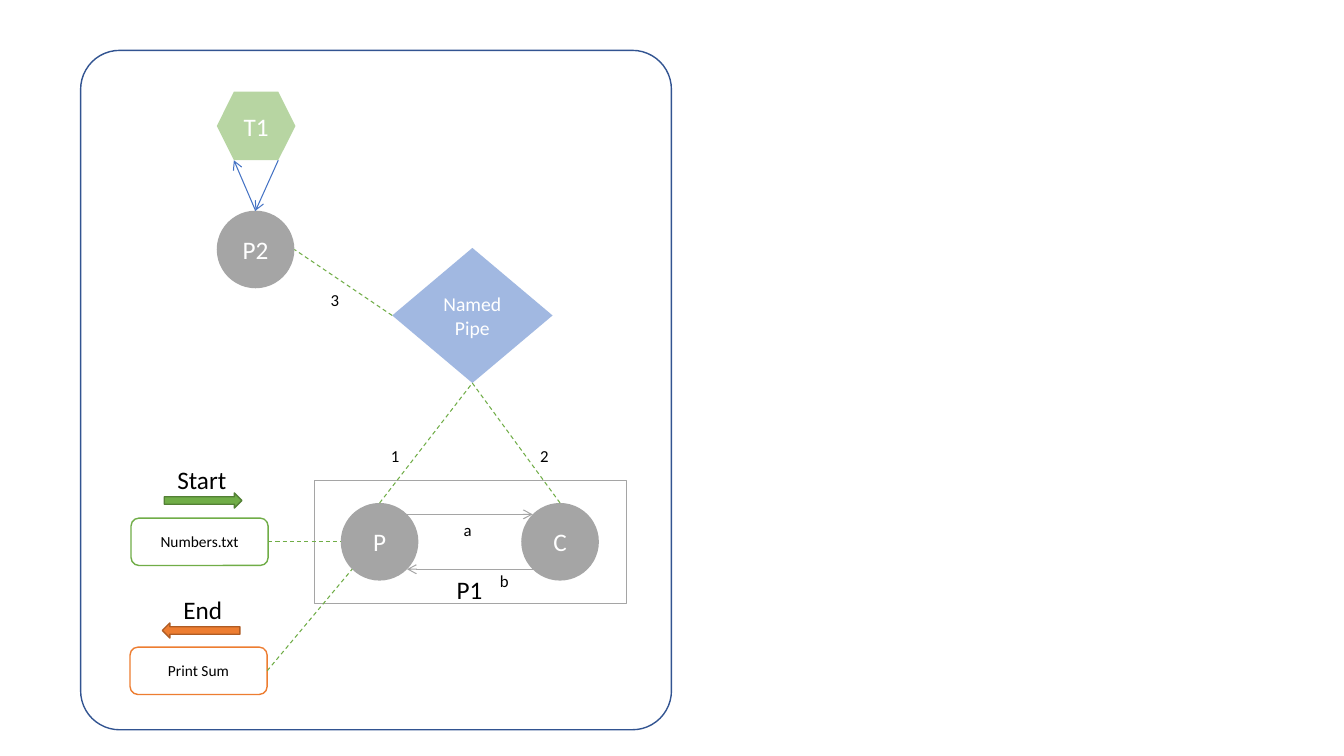
from math import cos, pi

from lxml import etree
from pptx import Presentation
from pptx import util as u
from pptx.dml.color import RGBColor
from pptx.enum import dml, shapes, text
from pptx.oxml.ns import qn

WHITE, BLACK = RGBColor(255, 255, 255), RGBColor(0, 0, 0)
NAVY, BLUE = RGBColor(0x32, 0x54, 0x91), RGBColor(0x44, 0x72, 0xC4)
GRAY = RGBColor(0xA5, 0xA5, 0xA5)
GREEN, DARK_GREEN = RGBColor(0x70, 0xAD, 0x47), RGBColor(0x53, 0x80, 0x35)
ORANGE, DARK_ORANGE = RGBColor(0xED, 0x7D, 0x31), RGBColor(0xAF, 0x5C, 0x24)
KIND = shapes.MSO_SHAPE
TOP, LEFT, BOTTOM, RIGHT = range(4)

# Node styles: kind, fill, opacity %, line, line width, text size, text colour
PROCESS = (KIND.OVAL, GRAY, 100, None, 0, 18, WHITE)
STYLES = {
    "system": (KIND.ROUNDED_RECTANGLE, None, 100, NAVY, 1, 18, BLACK),
    "process group": (KIND.RECTANGLE, None, 100, GRAY, 0.75, 18, BLACK),
    "process": PROCESS,
    "thread": (KIND.HEXAGON, GREEN, 50, None, 0, 18, WHITE),
    "pipe": (KIND.DIAMOND, BLUE, 50, None, 0, 14, WHITE),
    "input": (KIND.ROUNDED_RECTANGLE, WHITE, 100, GREEN, 1, 11, BLACK),
    "output": (KIND.ROUNDED_RECTANGLE, WHITE, 100, ORANGE, 1, 11, BLACK),
    "start": (KIND.RIGHT_ARROW, GREEN, 100, DARK_GREEN, 1, 18, BLACK),
    "end": (KIND.LEFT_ARROW, ORANGE, 100, DARK_ORANGE, 1, 18, BLACK),
}

# Nodes: name, style, text, (left, top, width, height)
D = 0.77
NODES = [
    ("System", "system", "", (0.8, 0.5, 5.86, 6.74)),
    ("P1", "process group", "", (3.12, 4.77, 3.09, 1.22)),
    ("P", "process", "P", (3.38, 4.99, D, D)),
    ("C", "process", "C", (5.17, 4.99, D, D)),
    ("P2", "process", "P2", (2.15, 2.09, D, D)),
    ("T1", "thread", "T1", (2.15, 0.91, 0.78, 0.68)),
    ("Pipe", "pipe", "Named\nPipe", (3.89, 2.46, 1.59, 1.34)),
    ("Numbers", "input", "Numbers.txt", (1.3, 5.14, 1.36, 0.47)),
    ("Sum", "output", "Print Sum", (1.29, 6.42, 1.36, 0.47)),
    ("Start", "start", "", (1.63, 4.89, D, 0.15)),
    ("End", "end", "", (1.61, 6.18, D, 0.15)),
]
BOXES = {name: box for name, _, _, box in NODES}


def on_node(name, across, down):
    """Point at a fraction of a node's width and height."""
    left, top, width, height = BOXES[name]
    return left + across * width, top + down * height


# Fractions for the diagonal points of a circle and the hexagon's corners
NEAR = 0.5 - 0.5 * cos(pi / 4)
FAR = 1 - NEAR
CORNER = 0.25 * BOXES["T1"][3] / BOXES["T1"][2]

# Links: from, to, colour, dashed; an end is (node, side) or (node, across, down)
LINKS = [
    (("P", FAR, NEAR), ("C", NEAR, NEAR), GRAY, False),
    (("C", NEAR, FAR), ("P", FAR, FAR), GRAY, False),
    (("P2", TOP), ("T1", CORNER, 1), BLUE, False),
    (("T1", 1 - CORNER, 1), ("P2", TOP), BLUE, False),
    (("Pipe", BOTTOM), ("C", TOP), GREEN, True),
    (("P", TOP), ("Pipe", BOTTOM), GREEN, True),
    (("Numbers", RIGHT), ("P", 0, 0.5), GREEN, True),
    (("Pipe", LEFT), ("P2", 1, 0.5), GREEN, True),
    (("Sum", RIGHT), ("P", NEAR, FAR), GREEN, True),
]

# Labels: text, size, wrap, (left, top, width, height)
STEP = (0.33, 0.3)
LABELS = [
    ("P1", 18, False, (4.43, 5.65, 0.46, 0.4)),
    ("Start", 18, False, (1.66, 4.56, 0.69, 0.4)),
    ("End", 18, True, (1.72, 5.85, 0.59, 0.4)),
    ("1", 12, True, (3.78, 4.37, *STEP)),
    ("2", 12, True, (5.26, 4.37, *STEP)),
    ("3", 12, True, (3.18, 2.83, *STEP)),
    ("a", 12, True, (4.5, 5.11, *STEP)),
    ("b", 12, True, (4.86, 5.61, *STEP)),
]


def write(frame, words, size, color, align, **settings):
    frame.text = words
    for key, value in settings.items():
        setattr(frame, key, value)
    for paragraph in frame.paragraphs:
        paragraph.alignment = align
        font = paragraph.runs[0].font
        for key, value in {"name": "Calibri", "size": u.Pt(size)}.items():
            setattr(font, key, value)
        font.color.rgb = color


def add_node(slide, style, words, box):
    kind, fill, opacity, line, width, size, color = STYLES[style]
    node = slide.shapes.add_shape(kind, *map(u.Inches, box))
    node.shadow.inherit = False
    if fill is None:
        node.fill.background()
    else:
        node.fill.solid()
        node.fill.fore_color.rgb = fill
    if opacity < 100:
        tint = node.fill._xPr.find(qn("a:solidFill"))[0]
        etree.SubElement(tint, qn("a:alpha"), val=str(opacity * 1000))
    if line is None:
        node.line.fill.background()
    else:
        node.line.color.rgb = line
        node.line.width = u.Pt(width)
    if words:
        write(node.text_frame, words, size, color, text.PP_ALIGN.CENTER,
              vertical_anchor=text.MSO_ANCHOR.MIDDLE)
    return node


def add_link(slide, nodes, start, end, color, dashed):
    sides = {TOP: (0.5, 0), LEFT: (0, 0.5), BOTTOM: (0.5, 1), RIGHT: (1, 0.5)}
    points = [on_node(e[0], *(sides[e[1]] if len(e) == 2 else e[1:]))
              for e in (start, end)]
    link = slide.shapes.add_connector(
        shapes.MSO_CONNECTOR.STRAIGHT,
        *(u.Inches(v) for point in points for v in point))
    for join, where in ((link.begin_connect, start), (link.end_connect, end)):
        if len(where) == 2:
            join(nodes[where[0]], where[1])
    link.line.color.rgb = color
    link.line.width = u.Pt(0.75)
    if dashed:
        link.line.dash_style = dml.MSO_LINE.DASH
    else:
        etree.SubElement(link.line._get_or_add_ln(), qn("a:tailEnd"), type="arrow")
    etree.SubElement(link._element.spPr, qn("a:effectLst"))


def main():
    deck = Presentation()
    deck.slide_width, deck.slide_height = u.Inches(13.33), u.Inches(7.5)
    slide = deck.slides.add_slide(deck.slide_layouts[6])

    # Nodes and their frames
    nodes = {name: add_node(slide, *rest) for name, *rest in NODES}
    nodes["System"].adjustments[0] = 0.066

    # Links between nodes
    for link in LINKS:
        add_link(slide, nodes, *link)

    # Labels
    for words, size, wrap, box in LABELS:
        label = slide.shapes.add_textbox(*map(u.Inches, box))
        write(label.text_frame, words, size, BLACK, text.PP_ALIGN.LEFT,
              word_wrap=wrap, auto_size=text.MSO_AUTO_SIZE.SHAPE_TO_FIT_TEXT)

    deck.save("out.pptx")


if __name__ == "__main__":
    main()
